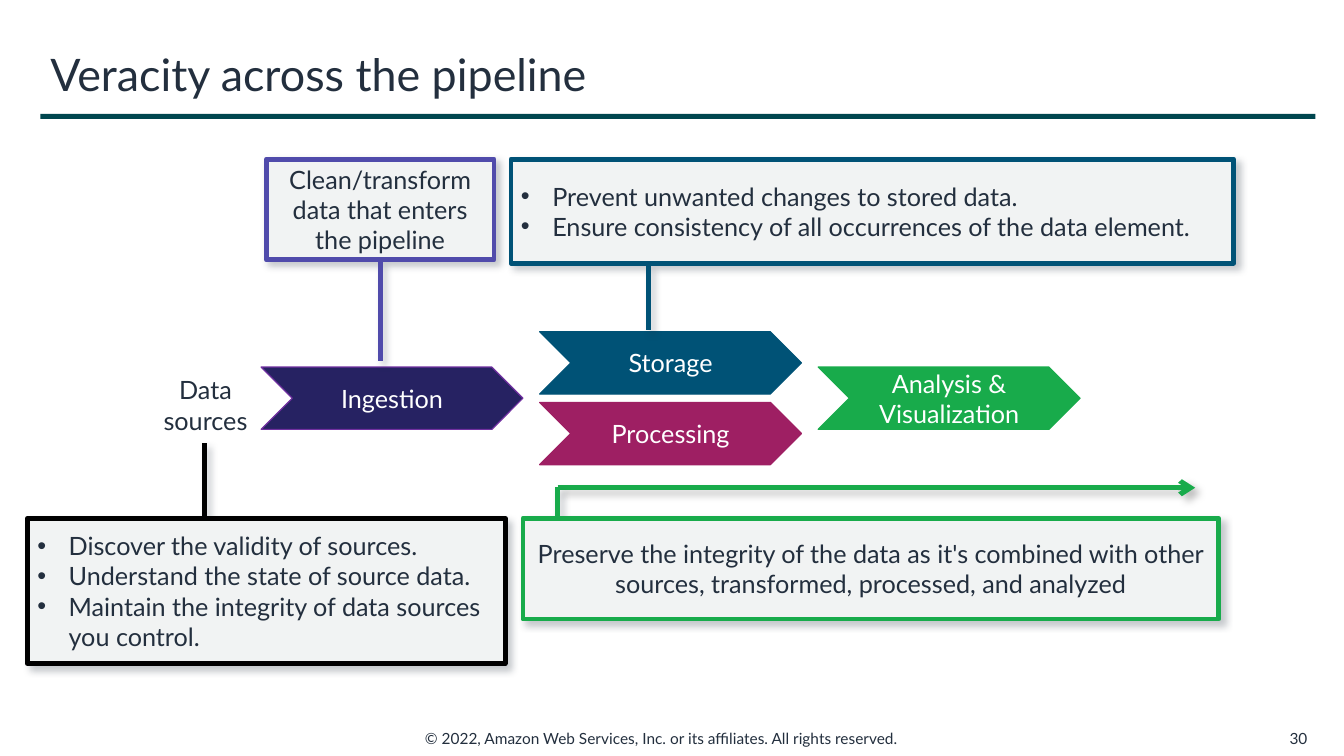
from lxml import etree
from pptx import Presentation
from pptx import util as u
from pptx.dml.color import RGBColor
from pptx.enum import shapes, text
from pptx.oxml import ns

COLORS = {
    "ink": "232F3E", "white": "FFFFFF", "teal": "00464F", "panel": "F1F3F3",
    "black": "000000", "navy": "262262", "purple": "7030A0", "violet": "504BAB",
    "blue": "005276", "magenta": "9E1F63", "green": "18AB4B",
}
RGB = {name: RGBColor.from_string(value) for name, value in COLORS.items()}
MIDDLE = text.MSO_ANCHOR.MIDDLE
TOP = text.MSO_ANCHOR.TOP
LEFT, CENTER, RIGHT = text.PP_ALIGN.LEFT, text.PP_ALIGN.CENTER, text.PP_ALIGN.RIGHT


def write(sp, lines, size=18, color="ink", align=CENTER, anchor=MIDDLE, bullets=False):
    tf = sp.text_frame
    tf.word_wrap = True
    tf.vertical_anchor = anchor
    for i, line in enumerate(lines):
        p = tf.paragraphs[0] if i == 0 else tf.add_paragraph()
        p.alignment = align
        if bullets:
            pPr = p._p.get_or_add_pPr()
            pPr.set("marL", str(u.Cm(0.79)))
            pPr.set("indent", str(-u.Cm(0.79)))
            etree.SubElement(pPr, ns.qn("a:buFont"), typeface="Arial")
            etree.SubElement(pPr, ns.qn("a:buChar"), char="•")
        r = p.add_run()
        r.text = line
        r.font.name = "Lato"
        r.font.size = u.Pt(size)
        r.font.color.rgb = RGB[color]


def cast_shadow(sp, color):
    effects = etree.SubElement(sp._element.spPr, ns.qn("a:effectLst"))
    shadow = etree.SubElement(
        effects, ns.qn("a:outerShdw"), blurRad=str(u.Pt(5)), dist=str(u.Pt(4.2)),
        dir="2700000", algn="tl", rotWithShape="0")
    tint = etree.SubElement(shadow, ns.qn("a:srgbClr"), val=COLORS[color])
    etree.SubElement(tint, ns.qn("a:alpha"), val="25000")


prs = Presentation()
prs.slide_width, prs.slide_height = u.Cm(33.87), u.Cm(19.05)
s = prs.slides.add_slide(prs.slide_layouts[6])

rule = s.shapes.add_shape(
    shapes.MSO_SHAPE.RECTANGLE, u.Cm(1.02), u.Cm(2.87), u.Cm(32.13), u.Cm(0.13))
rule.fill.solid()
rule.fill.fore_color.rgb = RGB["teal"]
rule.line.fill.background()
rule.shadow.inherit = False

labels = [
    ("© 2022, Amazon Web Services, Inc. or its affiliates. All rights reserved.",
     (10.46, 18.24, 12.93, 0.74), 11, LEFT, TOP),
    ("30", (31.85, 18.24, 1.35, 0.74), 11, RIGHT, MIDDLE),
    ("Veracity across the pipeline", (1.02, 0.84, 32.13, 2.03), 32, LEFT, MIDDLE),
    ("Data sources", (3.73, 9.32, 2.9, 1.6), 18, CENTER, TOP),
]
for label, box, size, align, anchor in labels:
    sp = s.shapes.add_textbox(*map(u.Cm, box))
    write(sp, [label], size=size, align=align, anchor=anchor)

stages = [
    ("Ingestion", 0, 0, "navy", "purple"),
    ("Storage", 1, -1, "blue", "blue"),
    ("Processing", 1, 1, "magenta", "magenta"),
    ("Analysis & Visualization", 2, 0, "green", "green"),
]
for name, column, row, fill, outline in stages:
    sp = s.shapes.add_shape(
        shapes.MSO_SHAPE.CHEVRON, u.Cm(6.58 + 7.02 * column), u.Cm(9.25 + 0.89 * row),
        u.Cm(6.6), u.Cm(1.57))
    sp.fill.solid()
    sp.fill.fore_color.rgb = RGB[fill]
    sp.line.color.rgb = RGB[outline]
    sp.line.width = u.Pt(0.85)
    sp.shadow.inherit = False
    write(sp, [name], color="white")

arrow = s.shapes.add_connector(
    shapes.MSO_CONNECTOR.STRAIGHT, u.Cm(14.05), u.Cm(12.29), u.Cm(30.12), u.Cm(12.29))
arrow.line.color.rgb = RGB["green"]
arrow.line.width = u.Pt(3.5)
etree.SubElement(arrow.line._get_or_add_ln(), ns.qn("a:tailEnd"), type="arrow")
cast_shadow(arrow, "black")

callouts = [
    (["Discover the validity of sources.", "Understand the state of source data.",
      "Maintain the integrity of data sources you control."],
     (0.69, 13.06, 12.04, 3.66), (-0.01, 0.37, -0.52, 0.37), "black"),
    (["Clean/transform data that enters the pipeline"],
     (6.71, 4.01, 5.74, 2.54), (1, 0.5, 2, 0.5), "violet"),
    (["Prevent unwanted changes to stored data.",
      "Ensure consistency of all occurrences of the data element."],
     (12.88, 4.01, 18.21, 2.62), (1, 0.19, 1.64, 0.19), "blue"),
    (["Preserve the integrity of the data as it's combined with other sources, "
      "transformed, processed, and analyzed"],
     (13.18, 13.06, 17.53, 2.54), (0.01, 0.05, -0.31, 0.05), "green"),
]
for lines, box, pointer, outline in callouts:
    sp = s.shapes.add_shape(shapes.MSO_SHAPE.LINE_CALLOUT_1, *map(u.Cm, box))
    for i, value in enumerate(pointer):
        sp.adjustments[i] = value
    sp.fill.solid()
    sp.fill.fore_color.rgb = RGB["panel"]
    sp.line.color.rgb = RGB[outline]
    sp.line.width = u.Pt(3.5)
    cast_shadow(sp, "ink")
    listed = len(lines) > 1
    write(sp, lines, align=LEFT if listed else CENTER, bullets=listed)

prs.save("out.pptx")
